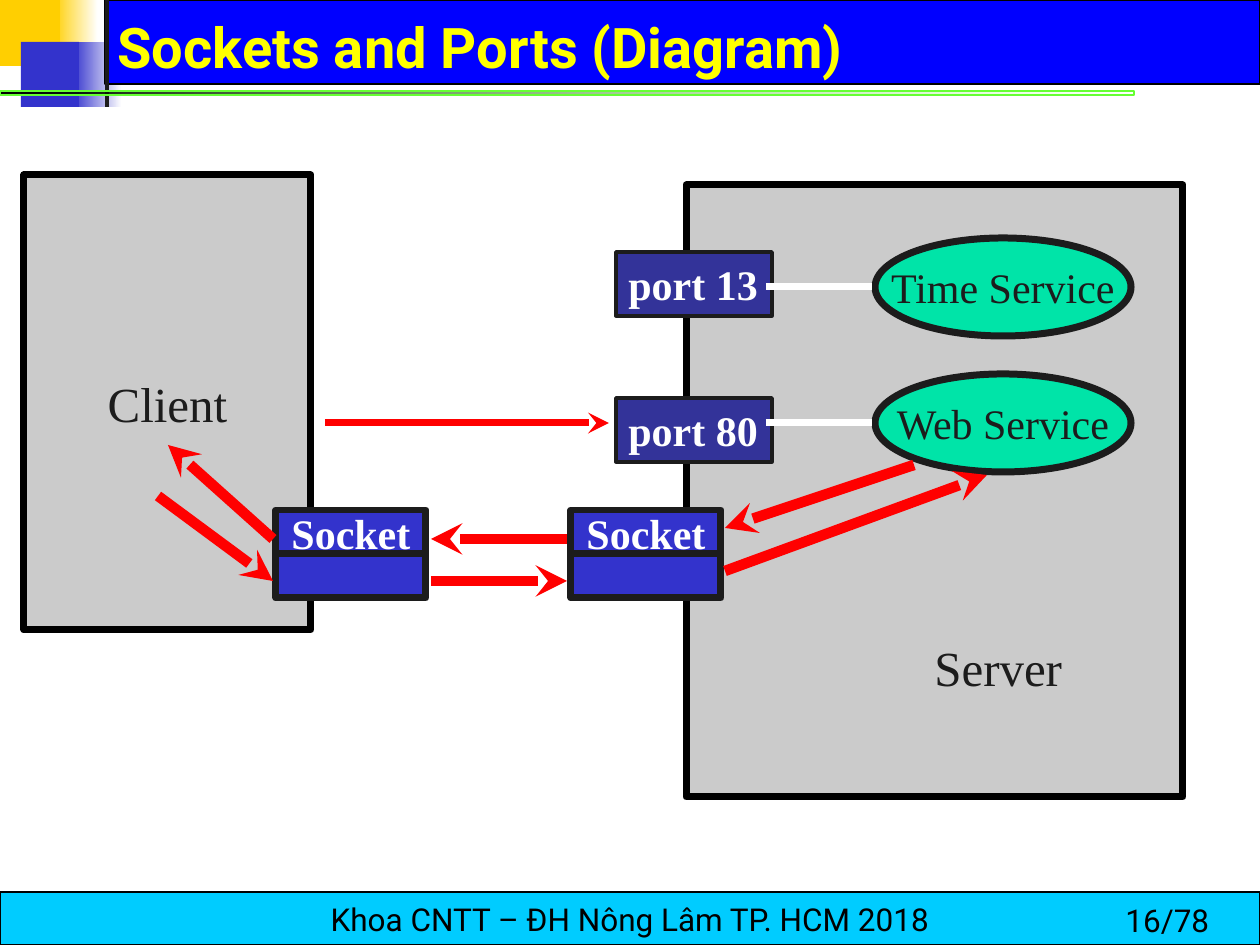
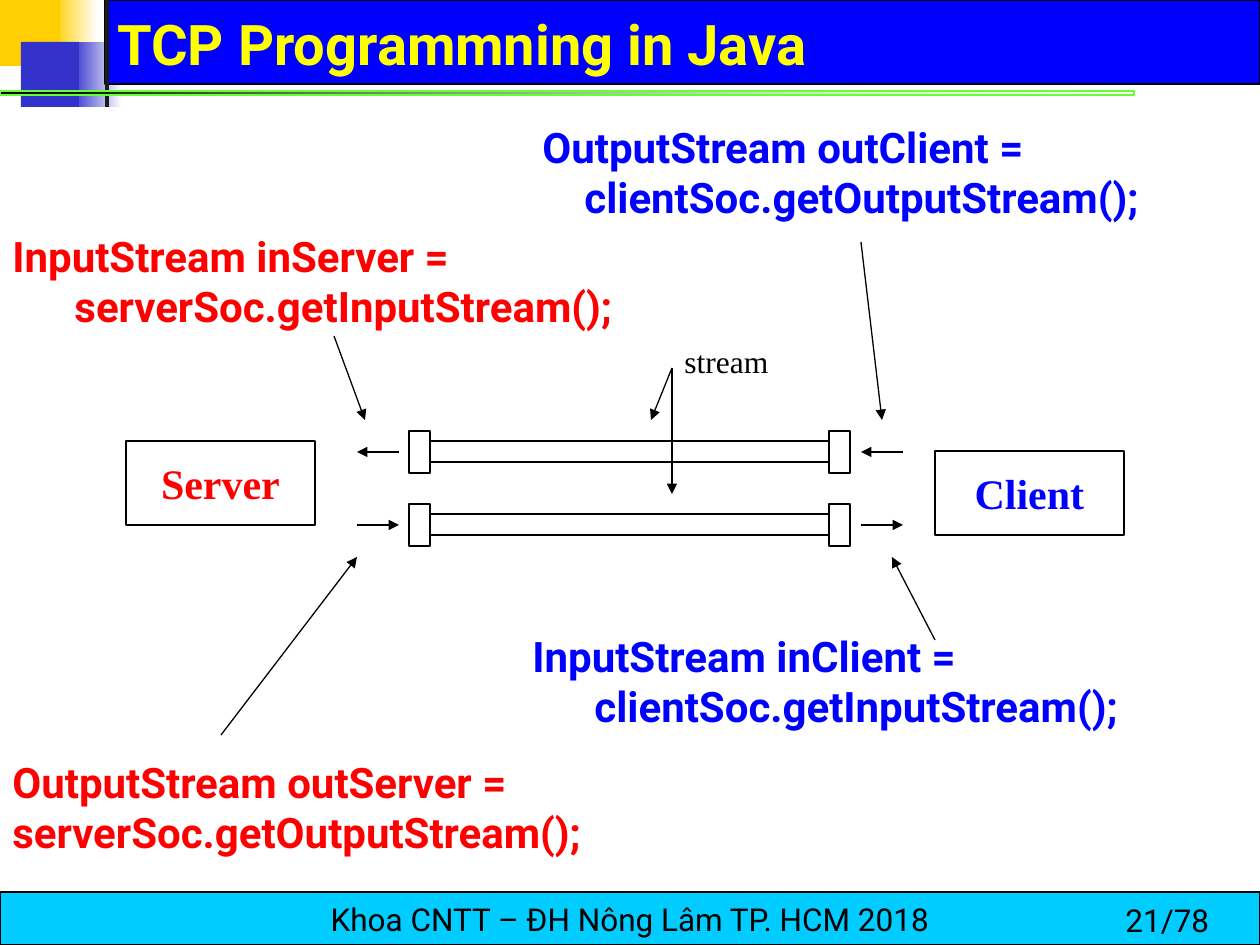
from dataclasses import dataclass

from lxml.etree import SubElement
from pptx import Presentation
from pptx.dml.color import RGBColor
from pptx.enum.shapes import MSO_CONNECTOR, MSO_SHAPE
from pptx.enum.text import MSO_ANCHOR as Anchor, PP_ALIGN as Align
from pptx.oxml.ns import qn
from pptx.util import Inches, Pt

PIXELS_PER_INCH = 126
WIDTH, HEIGHT = 1260, 945
RECT, OVAL = MSO_SHAPE.RECTANGLE, MSO_SHAPE.OVAL


@dataclass(frozen=True)
class Theme:
    """Colours, fonts and type sizes of the deck."""
    black: str = "000000"
    white: str = "FFFFFF"
    ink: str = "1C1C1C"
    gold: str = "FFCF01"
    indigo: str = "3333CC"
    port: str = "333399"
    band: str = "0000FF"
    title: str = "FFFF00"
    footer: str = "00CCFF"
    rule: str = "66FF33"
    machine: str = "CBCBCB"
    service: str = "00E4A8"
    red: str = "FF0000"
    blue: str = "0000FF"
    sans: str = "Roboto"
    serif: str = "Times New Roman"
    title_size: int = 32
    machine_size: int = 28
    body_size: int = 24
    small_size: int = 18
    thin: float = 0.75
    medium: float = 2
    thick: float = 4
    flow: float = 6


T = Theme()

# Content: places are pixels, as left, top, width, height
FOOTER = "Khoa CNTT – ĐH Nông Lâm TP. HCM 2018"
PORTS_TITLE = ("Sockets and Ports (Diagram)", "16/78", Anchor.MIDDLE)
TCP_TITLE = ("TCP Programmning in Java", "21/78", Anchor.BOTTOM)

# Port label, port top, service label, service top
SERVICES = [("port 13", 252, "Time Service", 238),
            ("port 80", 398, "Web Service", 374)]
SOCKET_LEFTS = (276, 571)
SOCKET_TOPS = (("Socket", 510), ("", 553))
REQUEST = ((325, 423), (609, 423))
SOCKET_FLOWS = [
    ((273, 539), (168, 445)), ((158, 496), (273, 581)),
    ((567, 539), (431, 539)), ((431, 581), (567, 581)),
    ((914, 465), (725, 528)), ((725, 571), (987, 475)),
]

# First line, second line, its indent, colour, place
CODE = [
    ("InputStream inClient =", "clientSoc.getInputStream();", 62, T.blue,
     (520, 624, 725, 113)),
    ("OutputStream outClient =", "clientSoc.getOutputStream();", 42, T.blue,
     (530, 115, 704, 113)),
    ("InputStream inServer =", "serverSoc.getInputStream();", 62, T.red,
     (0, 224, 789, 113)),
    ("OutputStream outServer =", "serverSoc.getOutputStream();", 0, T.red,
     (0, 750, 819, 113)),
]
POINTERS = [
    ((935, 640), (892, 557)), ((861, 242), (882, 420)),
    ((334, 336), (365, 420)), ((221, 735), (357, 557)),
    ((672, 368), (651, 420)), ((672, 368), (672, 494)),
]
ENDPOINTS = [("Server", T.red, 126, 441), ("Client", T.blue, 935, 451)]
PIPE_TOPS = {"to server": 431, "to client": 504}
PIPE_ENDS = (409, 829)
CAP_WIDTH, CAP_HEIGHT = 21, 42
PIPE_ARROWS = ((357, 399), (861, 903))


def px(length):
    """Turn pixels into EMU."""
    return Inches(length / PIXELS_PER_INCH)


def rgb(colour):
    """Turn a hex colour into an RGBColor."""
    return RGBColor.from_string(colour)


def write(shape, text, colour, size, font=T.serif, bold=False,
          align=Align.LEFT, anchor=Anchor.TOP, wrap=True, hang=0):
    """Put text in a shape; later lines are indented by hang pixels."""
    frame = shape.text_frame
    frame.text = text
    frame.word_wrap = wrap
    frame.vertical_anchor = anchor
    for paragraph in frame.paragraphs:
        paragraph.alignment = align
        if hang:
            properties = paragraph._p.get_or_add_pPr()
            properties.set("marL", str(px(hang)))
            properties.set("indent", str(-px(hang)))
        for run in paragraph.runs:
            run.font.name, run.font.size = font, Pt(size)
            run.font.bold = bold
            run.font.color.rgb = rgb(colour)


def label(slide, place, text, colour, size, **style):
    """Add a text box."""
    write(slide.shapes.add_textbox(*map(px, place)), text, colour, size, **style)


def block(slide, place, fill=None, line=None, weight=T.thin, kind=RECT):
    """Add a preset shape; a pair of colours makes a left-to-right gradient."""
    shape = slide.shapes.add_shape(kind, *map(px, place))
    shape.shadow.inherit = False
    if fill is None:
        shape.fill.background()
    elif isinstance(fill, tuple):
        shape.fill.gradient()
        shape.fill.gradient_angle = 0
        for stop, colour, position in zip(shape.fill.gradient_stops, fill, (0, 1)):
            stop.color.rgb, stop.position = rgb(colour), position
    else:
        shape.fill.solid()
        shape.fill.fore_color.rgb = rgb(fill)
    if line is None:
        shape.line.fill.background()
    else:
        shape.line.color.rgb, shape.line.width = rgb(line), Pt(weight)
    return shape


def centred(shape, text, colour, size, **style):
    """Write one unwrapped label in the middle of a shape."""
    write(shape, text, colour, size, align=Align.CENTER, anchor=Anchor.MIDDLE,
          wrap=False, **style)


def connect(slide, start, end, colour=T.black, weight=T.thin, arrow=None):
    """Draw a straight line, with an arrowhead at its end if one is named."""
    line = slide.shapes.add_connector(MSO_CONNECTOR.STRAIGHT,
                                      *map(px, (*start, *end)))
    line.line.color.rgb, line.line.width = rgb(colour), Pt(weight)
    if arrow:
        SubElement(line.get_or_add_ln(), qn("a:tailEnd"), type=arrow)
    SubElement(line.element.spPr, qn("a:effectLst"))


def start_slide(deck, title, page, anchor):
    """Add a slide with the shared bands, title and footer."""
    slide = deck.slides.add_slide(deck.slide_layouts[6])
    block(slide, (53, 0, 45, 66), (T.gold, T.white))
    block(slide, (72, 42, 50, 65), (T.indigo, T.white))
    block(slide, (105, 0, 1155, 84), T.band, T.black)
    block(slide, (0, 0, 60, 66), T.gold)
    block(slide, (21, 42, 58, 65), T.indigo)
    block(slide, (105, 0, 4, 107), T.ink)
    rule = block(slide, (0, 91, 1134, 4), (T.black, T.rule), T.rule, 0)
    rule_end = list(rule.element.spPr.iter(qn("a:srgbClr")))[1]
    SubElement(rule_end, qn("a:alpha"), val="0")
    footer = block(slide, (0, 892, WIDTH, 53), T.footer, T.black)
    centred(footer, FOOTER, T.black, T.small_size, font=T.sans)
    label(slide, (1113, 895, 147, 50), page, T.black, T.small_size, font=T.sans)
    label(slide, (105, 10, 1126, 73), title, T.title, T.title_size,
          font=T.sans, bold=True, anchor=anchor)
    return slide


def ports_slide(deck):
    """Draw the client, the server, its ports and the socket pair."""
    slide = start_slide(deck, *PORTS_TITLE)
    client = block(slide, (24, 175, 287, 455), T.machine, T.black, T.thick)
    centred(client, "Client", T.ink, T.machine_size)
    block(slide, (686, 185, 497, 612), T.machine, T.black, T.thick)
    label(slide, (922, 631, 155, 72), "Server", T.ink, T.machine_size, wrap=False)

    for port_name, port_top, service_name, service_top in SERVICES:
        port = block(slide, (616, port_top, 156, 64), T.port, T.ink, T.medium)
        write(port, port_name, T.white, T.body_size, bold=True, wrap=False)
        service = block(slide, (875, service_top, 256, 98), T.service, T.ink,
                        T.thick, OVAL)
        centred(service, service_name, T.ink, T.body_size)
        middle = service_top + 49
        connect(slide, (766, middle), (872, middle), T.white, T.thick)

    for left in SOCKET_LEFTS:
        for name, top in SOCKET_TOPS:
            socket = block(slide, (left, top, 150, 45), T.indigo, T.ink, T.thick)
            if name:
                centred(socket, name, T.white, T.body_size, bold=True)

    connect(slide, *REQUEST, T.red, T.thick, "stealth")
    for start, end in SOCKET_FLOWS:
        connect(slide, start, end, T.red, T.flow, "stealth")


def tcp_slide(deck):
    """Draw the two streams between server and client, with their code."""
    slide = start_slide(deck, *TCP_TITLE)
    for first, second, hang, colour, place in CODE:
        label(slide, place, f"{first}\v{second}", colour, T.body_size,
              font=T.sans, bold=True, hang=hang)

    for name, colour, left, top in ENDPOINTS:
        endpoint = block(slide, (left, top, 189, 84), line=T.black)
        centred(endpoint, name, colour, T.body_size, bold=True)

    for direction, top in PIPE_TOPS.items():
        for left in PIPE_ENDS:
            block(slide, (left, top, CAP_WIDTH, CAP_HEIGHT), line=T.black)
        for wall in (top + 10, top + 31):
            connect(slide, (PIPE_ENDS[0] + CAP_WIDTH, wall), (PIPE_ENDS[1], wall))
        middle = top + CAP_HEIGHT // 2
        for left, right in PIPE_ARROWS:
            start, end = (right, left) if direction == "to server" else (left, right)
            connect(slide, (start, middle), (end, middle), arrow="triangle")

    label(slide, (672, 336, 168, 50), "stream", T.black, T.small_size)
    for start, end in POINTERS:
        connect(slide, start, end, arrow="triangle")


def main():
    """Build both slides and save the deck."""
    deck = Presentation()
    deck.slide_width, deck.slide_height = px(WIDTH), px(HEIGHT)
    ports_slide(deck)
    tcp_slide(deck)
    deck.save("out.pptx")


main()
